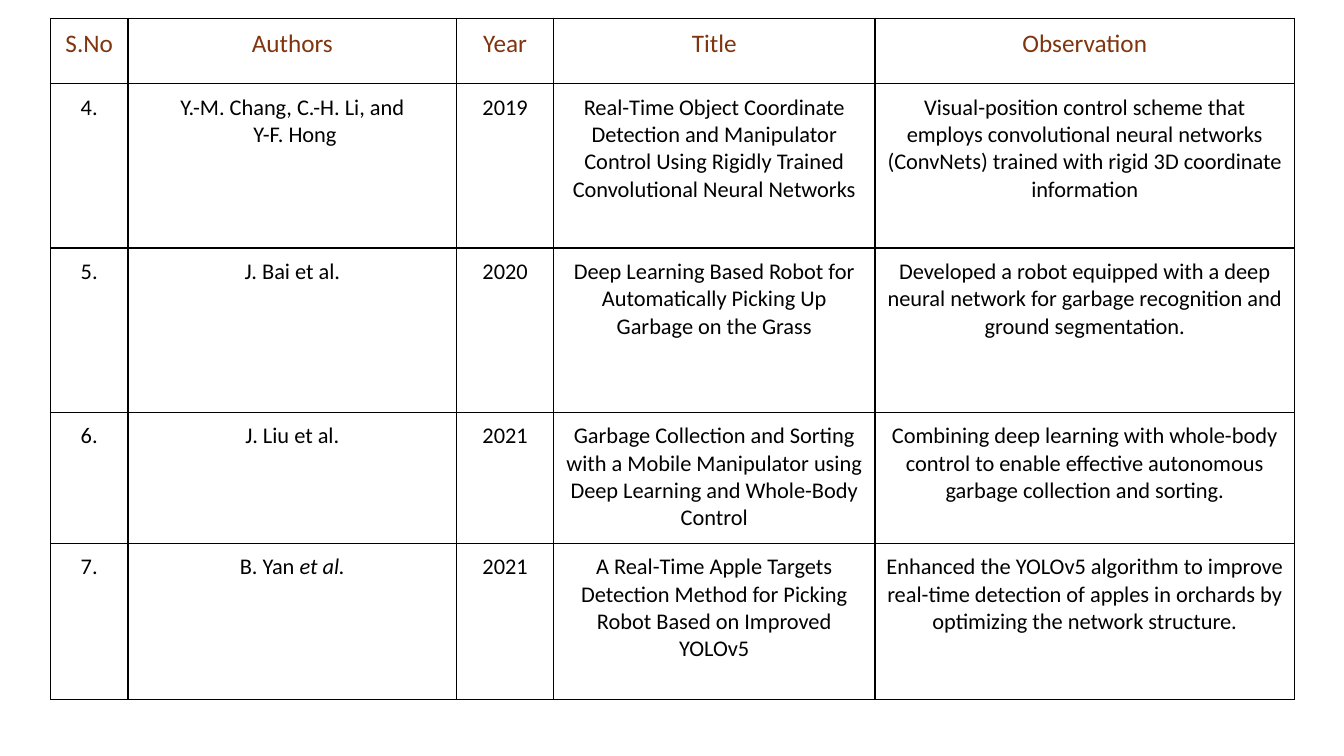
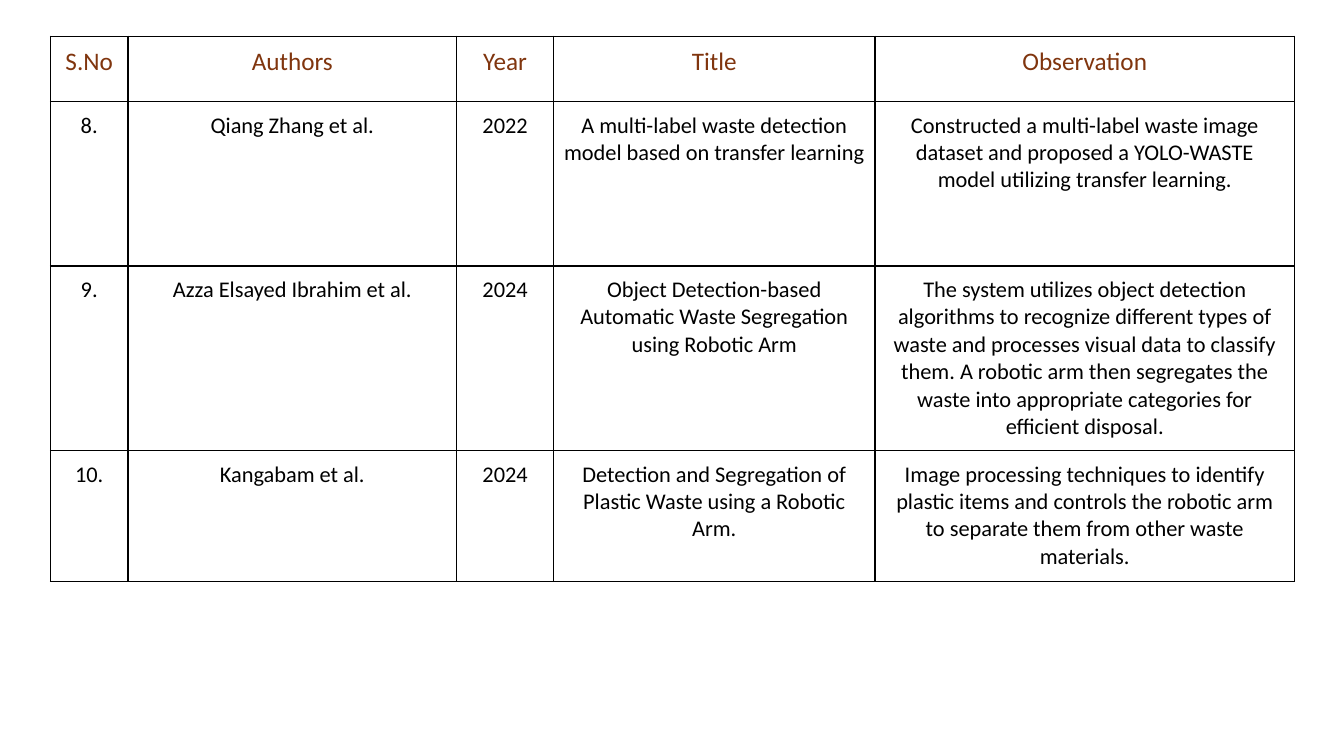
from dataclasses import dataclass

from lxml import etree
from pptx import Presentation
from pptx import util as u
from pptx.dml.color import RGBColor
from pptx.enum import text
from pptx.oxml import ns

PX = 9144
BLANK_LAYOUT = 6


@dataclass(frozen=True)
class Theme:
    font: str = "Calibri"
    heading: str = "80350E"
    body: str = "000000"
    border: str = "000000"
    heading_size: int = 18
    body_size: int = 16
    border_width: int = 1
    inset: int = 10


def px(length):
    return u.Emu(length * PX)


def write(frame, content, font, size, color, align=text.PP_ALIGN.CENTER):
    for index, line in enumerate(content.split("\n")):
        para = frame.add_paragraph() if index else frame.paragraphs[0]
        para.alignment = align
        for part, words in enumerate(line.split("*")):
            if not words:
                continue
            span = para.add_run()
            span.text = words
            span.font.name = font
            span.font.size = u.Pt(size)
            span.font.color.rgb = RGBColor.from_string(color)
            span.font.italic = part % 2 == 1


class Deck:
    def __init__(self, theme, width, height):
        self.theme = theme
        self.file = Presentation()
        self.file.slide_width = px(width)
        self.file.slide_height = px(height)
        self.page = None

    def add_page(self):
        self.page = self.file.slides.add_slide(self.file.slide_layouts[BLANK_LAYOUT])

    def add_borders(self, cell):
        properties = cell._tc.get_or_add_tcPr()
        for side in ("lnL", "lnR", "lnT", "lnB"):
            line = etree.SubElement(properties, ns.qn(f"a:{side}"),
                                    w=str(u.Pt(self.theme.border_width)))
            fill = etree.SubElement(line, ns.qn("a:solidFill"))
            etree.SubElement(fill, ns.qn("a:srgbClr"), val=self.theme.border)

    def fill_cell(self, cell, content, size, color):
        cell.margin_left = cell.margin_right = px(self.theme.inset)
        cell.margin_top = cell.margin_bottom = px(self.theme.inset)
        self.add_borders(cell)
        cell.fill.background()
        write(cell.text_frame, content, font=self.theme.font, size=size, color=color)

    def add_table(self, left, top, widths, heights, rows):
        table = self.page.shapes.add_table(
            len(rows), len(widths), px(left), px(top),
            px(sum(widths)), px(sum(heights))).table
        table.first_row = table.horz_banding = False
        for column, width in zip(table.columns, widths):
            column.width = px(width)
        for row, height in zip(table.rows, heights):
            row.height = px(height)
        for number, entries in enumerate(rows):
            if number == 0:
                size, color = self.theme.heading_size, self.theme.heading
            else:
                size, color = self.theme.body_size, self.theme.body
            for column, content in enumerate(entries):
                self.fill_cell(table.cell(number, column), content, size, color)

    def save(self):
        self.file.save("out.pptx")


TABLE_LEFT = 50
COLUMN_WIDTHS = (77, 326, 96, 319, 416)
HEADER_HEIGHT = 65
HEADER = ("S.No", "Authors", "Year", "Title", "Observation")

SURVEYS = [
    (18, (163, 163, 130, 155), [
        ("4.", "Y.-M. Chang, C.-H. Li, and\n Y-F. Hong", "2019",
         "Real-Time Object Coordinate Detection and Manipulator Control "
         "Using Rigidly Trained Convolutional Neural Networks",
         "Visual-position control scheme that employs convolutional neural "
         "networks (ConvNets) trained with rigid 3D coordinate information"),
        ("5.", "J. Bai et al.", "2020",
         "Deep Learning Based Robot for Automatically Picking Up Garbage on the Grass",
         "Developed a robot equipped with a deep neural network for garbage "
         "recognition and ground segmentation."),
        ("6.", "J. Liu et al.", "2021",
         "Garbage Collection and Sorting with a Mobile Manipulator using "
         "Deep Learning and Whole-Body Control",
         "Combining deep learning with whole-body control to enable effective "
         "autonomous garbage collection and sorting."),
        ("7.", "B. Yan *et al.*", "2021",
         "A Real-Time Apple Targets Detection Method for Picking Robot "
         "Based on Improved YOLOv5",
         "Enhanced the YOLOv5 algorithm to improve real-time detection of "
         "apples in orchards by optimizing the network structure."),
    ]),
    (36, (163, 183, 130), [
        ("8.", "Qiang Zhang et al.", "2022",
         "A multi-label waste detection model based on transfer learning",
         "Constructed a multi-label waste image dataset and proposed a "
         "YOLO-WASTE model utilizing transfer learning."),
        ("9.", "Azza Elsayed Ibrahim et al.", "2024",
         "Object Detection-based Automatic Waste Segregation using Robotic Arm",
         "The system utilizes object detection algorithms to recognize different "
         "types of waste and processes visual data to classify them. A robotic arm "
         "then segregates the waste into appropriate categories for efficient disposal."),
        ("10.", "Kangabam et al.", "2024",
         "Detection and Segregation of Plastic Waste using a Robotic Arm.",
         "Image processing techniques to identify plastic items and controls the "
         "robotic arm to separate them from other waste materials."),
    ]),
]


def main():
    deck = Deck(Theme(), 1333, 750)
    for top, heights, papers in SURVEYS:
        deck.add_page()
        deck.add_table(TABLE_LEFT, top, COLUMN_WIDTHS,
                       (HEADER_HEIGHT, *heights), [HEADER, *papers])
    deck.save()


if __name__ == "__main__":
    main()
